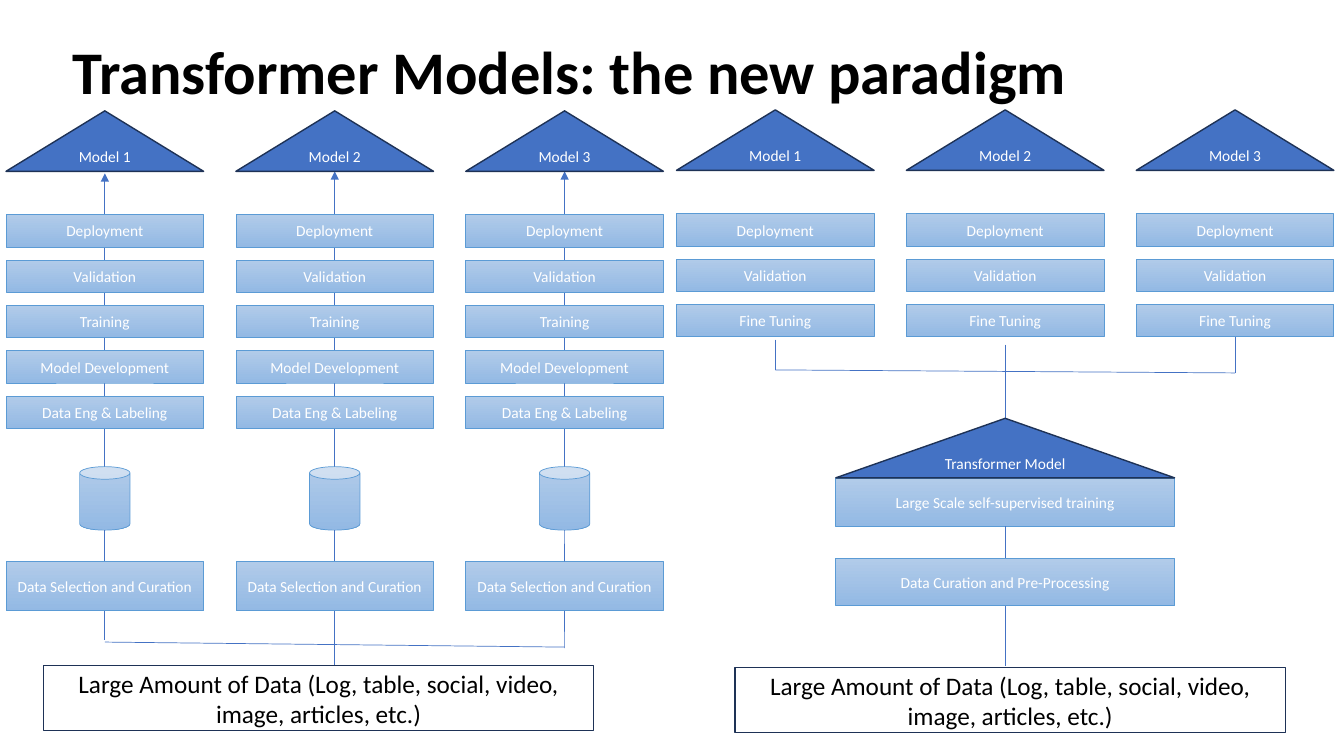
from lxml import etree
from pptx import Presentation
from pptx.dml.color import RGBColor
from pptx.enum.shapes import MSO_CONNECTOR, MSO_SHAPE
from pptx.enum.text import MSO_ANCHOR, PP_ALIGN
from pptx.oxml.ns import qn
from pptx.util import Inches, Pt

RECTANGLE, TRIANGLE, CAN = MSO_SHAPE.RECTANGLE, MSO_SHAPE.ISOSCELES_TRIANGLE, MSO_SHAPE.CAN
STRAIGHT = MSO_CONNECTOR.STRAIGHT
MIDDLE, BOTTOM = MSO_ANCHOR.MIDDLE, MSO_ANCHOR.BOTTOM
LEFT, CENTER = PP_ALIGN.LEFT, PP_ALIGN.CENTER
TOP_SIDE, BOTTOM_SIDE = 0, 2

BLACK = RGBColor(0x00, 0x00, 0x00)
WHITE = RGBColor(0xFF, 0xFF, 0xFF)
BLUE = RGBColor(0x44, 0x72, 0xC4)
NAVY = RGBColor(0x1E, 0x32, 0x56)
STEP_LINE = RGBColor(0x5B, 0x9B, 0xD5)
STEP_LIGHT = RGBColor(0xB1, 0xCB, 0xE9)
STEP_DARK = RGBColor(0x93, 0xB9, 0xE4)

FONT = "Calibri"
COLUMN_WIDTH, COLUMN_PITCH = 1.96, 2.28
ROOF_HEIGHT = 0.6
STEP_OFFSET, STEP_HEIGHT, STEP_PITCH = 1.03, 0.32, 0.45
MODELS = ["Model 1", "Model 2", "Model 3"]
CLASSIC_STEPS = ["Deployment", "Validation", "Training", "Model Development", "Data Eng & Labeling"]
TUNING_STEPS = ["Deployment", "Validation", "Fine Tuning"]
DATA_TEXT = "Large Amount of Data (Log, table, social, video, image, articles, etc.)"


def write_text(shape, text, size=11, color=WHITE, bold=False, align=CENTER, anchor=MIDDLE, spacing=1.0):
    frame = shape.text_frame
    frame.word_wrap = True
    frame.vertical_anchor = anchor
    paragraph = frame.paragraphs[0]
    paragraph.alignment = align
    paragraph.line_spacing = spacing
    run = paragraph.add_run()
    run.text = text
    run.font.name = FONT
    run.font.size = Pt(size)
    run.font.bold = bold
    run.font.color.rgb = color


def add_outlined(slide, kind, box, line_color, line_width):
    shape = slide.shapes.add_shape(kind, *map(Inches, box))
    shape.shadow.inherit = False
    shape.line.color.rgb = line_color
    shape.line.width = Pt(line_width)
    return shape


def add_step(slide, box, text="", kind=RECTANGLE):
    shape = add_outlined(slide, kind, box, STEP_LINE, 0.5)
    shape.fill.gradient()
    shape.fill.gradient_angle = 270
    for stop, color in zip(shape.fill.gradient_stops, (STEP_LIGHT, STEP_DARK)):
        stop.color.rgb = color
    if text:
        write_text(shape, text)
    return shape


def add_roof(slide, box, text):
    shape = add_outlined(slide, TRIANGLE, box, NAVY, 1)
    shape.fill.solid()
    shape.fill.fore_color.rgb = BLUE
    write_text(shape, text)


def add_data_box(slide, box):
    shape = add_outlined(slide, RECTANGLE, box, NAVY, 1)
    shape.fill.solid()
    shape.fill.fore_color.rgb = WHITE
    write_text(shape, DATA_TEXT, size=18, color=BLACK)


def add_line(slide, start, end, above=None, below=None, arrow=False):
    """Draw a line; above and below are rectangles that it leaves and reaches."""
    line = slide.shapes.add_connector(STRAIGHT, *map(Inches, (*start, *end)))
    line.line.color.rgb = BLUE
    line.line.width = Pt(0.5)
    if above is not None:
        line.begin_connect(above, BOTTOM_SIDE)
    if below is not None:
        line.end_connect(below, TOP_SIDE)
    if arrow:
        etree.SubElement(line.line._get_or_add_ln(), qn("a:tailEnd"), type="triangle")
    etree.SubElement(line._element.spPr, qn("a:effectLst"))


def add_model_column(slide, left, top, model, steps):
    """Roof with its steps below; returns the lowest step."""
    add_roof(slide, (left, top, COLUMN_WIDTH, ROOF_HEIGHT), model)
    for row, text in enumerate(steps):
        step_top = top + STEP_OFFSET + row * STEP_PITCH
        lowest = add_step(slide, (left, step_top, COLUMN_WIDTH, STEP_HEIGHT), text)
    return lowest


def add_classic_side(slide, left, top):
    """Three models, each built from its own data."""
    can_top, selection_top = top + 3.53, top + 4.47
    bus_top = top + 5.27
    for index, model in enumerate(MODELS):
        column_left = left + index * COLUMN_PITCH
        center = column_left + COLUMN_WIDTH / 2
        arrow_end = top + ROOF_HEIGHT + (0.02 if index == 0 else 0)
        add_line(slide, (center, can_top), (center, arrow_end), arrow=True)
        add_model_column(slide, column_left, top, model, CLASSIC_STEPS)
        add_step(slide, (center - 0.25, can_top, 0.5, 0.63), kind=CAN)
        selection = add_step(slide, (column_left, selection_top, COLUMN_WIDTH, 0.49),
                             "Data Selection and Curation")
        add_line(slide, (center, can_top + 0.63), (center, selection_top), below=selection)
        line_end = top + (5.25, 5.52, 5.33)[index]
        add_line(slide, (center, selection_top + 0.49), (center, line_end), above=selection)
    first_center = left + COLUMN_WIDTH / 2
    add_line(slide, (first_center, bus_top), (first_center + 2 * COLUMN_PITCH, bus_top + 0.05))
    add_data_box(slide, (left + 0.37, top + 5.5, 5.46, 0.65))


def add_transformer_side(slide, left, top):
    """Three tuned models that share one transformer model."""
    centers = [left + index * COLUMN_PITCH + COLUMN_WIDTH / 2 for index in range(3)]
    for center, model in zip(centers, MODELS):
        lowest = add_model_column(slide, center - COLUMN_WIDTH / 2, top, model, TUNING_STEPS)

    # Branches from the tuned models to the shared one
    bus_top = top + 2.58
    add_line(slide, (centers[0], bus_top), (centers[2], bus_top + 0.03))
    add_line(slide, (centers[0], top + 2.28), (centers[0], bus_top))
    add_line(slide, (centers[1], top + 2.33), (centers[1], top + 3.06))
    add_line(slide, (centers[2], top + 2.25), (centers[2], bus_top + 0.03), above=lowest)

    # Shared transformer model and its data
    center, width = centers[1], 3.36
    base_left = center - width / 2
    training = add_step(slide, (base_left, top + 3.66, width, 0.47), "Large Scale self-supervised training")
    add_roof(slide, (base_left, top + 3.06, width, 0.59), "Transformer Model")
    curation = add_step(slide, (base_left, top + 4.45, width, 0.47), "Data Curation and Pre-Processing")
    add_line(slide, (center, top + 4.13), (center, top + 4.45), above=training, below=curation)
    add_line(slide, (center, top + 4.92), (center, top + 5.52), above=curation)
    add_data_box(slide, (left + 0.58, top + 5.53, 5.46, 0.65))


def add_title(slide, box):
    title = slide.shapes.add_textbox(*map(Inches, box))
    write_text(title, "Transformer Models: the new paradigm", size=43.2, color=BLACK,
               bold=True, align=LEFT, anchor=BOTTOM, spacing=0.9)


def main():
    presentation = Presentation()
    presentation.slide_width = Inches(13.33)
    presentation.slide_height = Inches(7.5)
    slide = presentation.slides.add_slide(presentation.slide_layouts[6])
    add_title(slide, (0.62, 0.29, 11.09, 0.83))
    add_classic_side(slide, 0.06, 1.1)
    add_transformer_side(slide, 6.71, 1.09)
    presentation.save("out.pptx")


if __name__ == "__main__":
    main()
